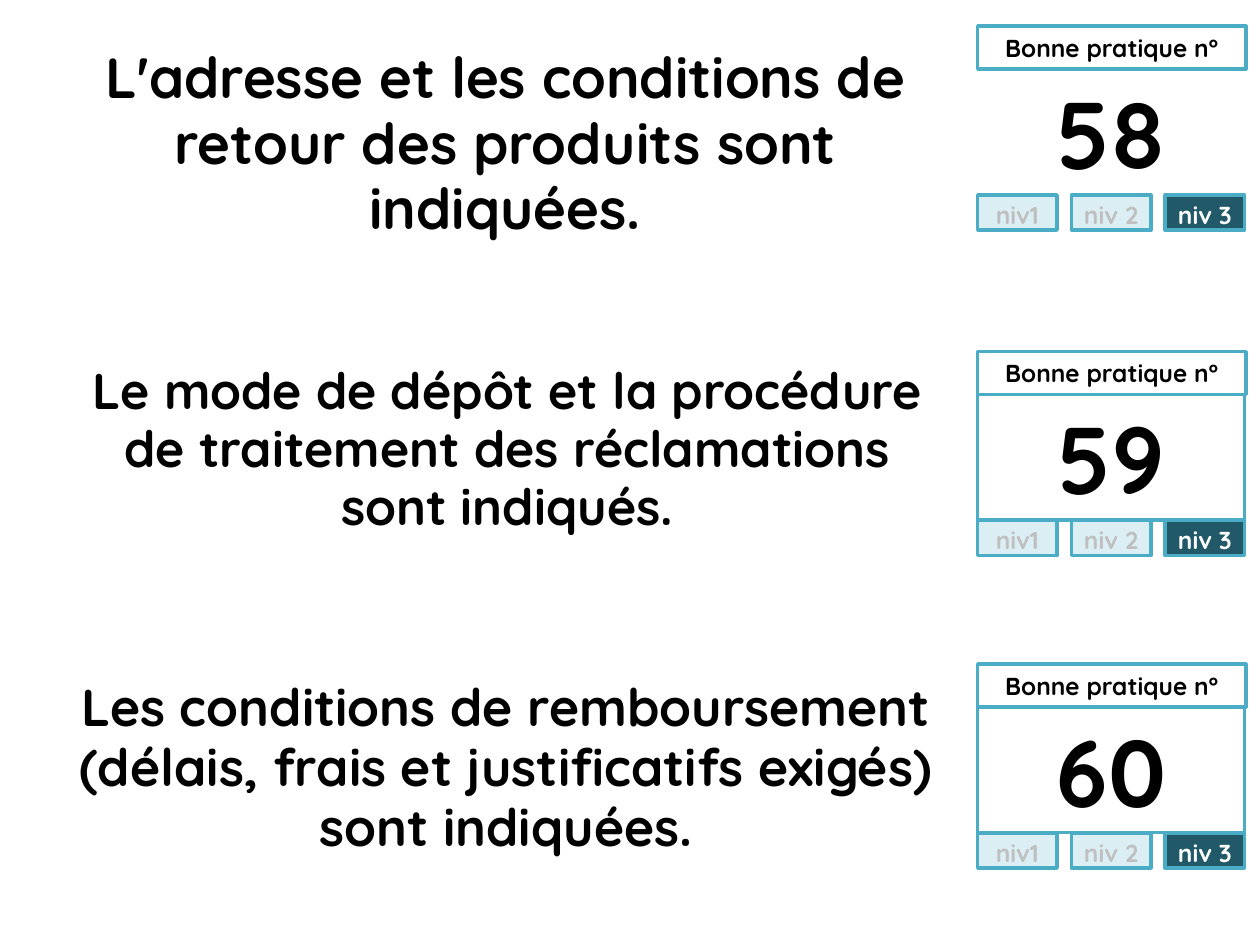
from pptx import Presentation
from pptx.dml.color import RGBColor
from pptx.enum.shapes import MSO_SHAPE
from pptx.enum.text import MSO_ANCHOR, MSO_AUTO_SIZE, PP_ALIGN
from pptx.oxml.xmlchemy import OxmlElement
from pptx.util import Cm, Pt

RECTANGLE = MSO_SHAPE.RECTANGLE
TOP, MIDDLE = MSO_ANCHOR.TOP, MSO_ANCHOR.MIDDLE
CENTER = PP_ALIGN.CENTER
NO_AUTOFIT = MSO_AUTO_SIZE.NONE

THEME = {
    "font": "Quicksand",
    "black": "000000",
    "white": "FFFFFF",
    "border": "4BACC6",
    "pale": "DBEEF4",
    "dark": "215968",
    "muted": "BFBFBF",
    "label_size": 14,
    "number_size": 54,
    "border_width": 2,
}

CARD_LABEL = "Bonne pratique n°"
LEVELS = ["niv1", "niv 2", "niv 3"]
ACTIVE_LEVEL = "niv 3"

# Lengths in centimetres, type sizes in points
PRACTICES = [
    {"number": "58", "card_top": 0.53, "size": 32.4, "box": (1.27, 0.76, 17.83, 3.18),
     "text": "L'adresse et les conditions de retour des produits sont indiquées."},
    {"number": "59", "card_top": 7.09, "size": 28.8, "box": (1.32, 7.14, 17.81, 4.6),
     "text": "Le mode de dépôt et la procédure de traitement des réclamations sont indiqués."},
    {"number": "60", "card_top": 13.39, "size": 29.7, "box": (1.3, 13.51, 17.81, 3.81),
     "text": "Les conditions de remboursement (délais, frais et justificatifs exigés) "
             "sont indiquées."},
]

CARD_LEFT = 19.71
HEADER_SIZE = (5.41, 0.86)
NUMBER_OFFSET, NUMBER_SIZE = 0.85, (5.38, 2.54)
LEVEL_OFFSET, LEVEL_SIZE, LEVEL_STEP = 3.4, (1.6, 0.71), 1.89


def place(shape, box):
    for name, value in zip(("left", "top", "width", "height"), box):
        setattr(shape, name, Cm(value))


def paint(shape, fill, bordered=True):
    shape.fill.solid()
    shape.fill.fore_color.rgb = RGBColor.from_string(fill)
    if bordered:
        shape.line.color.rgb = RGBColor.from_string(THEME["border"])
        shape.line.width = Pt(THEME["border_width"])


def write(shape, text, size, color="black", anchor=MIDDLE, line_spacing=None, **margins):
    frame = shape.text_frame
    settings = {"word_wrap": True, "auto_size": NO_AUTOFIT, "vertical_anchor": anchor}
    settings.update({f"margin_{side}": Cm(value) for side, value in margins.items()})
    for name, value in settings.items():
        setattr(frame, name, value)
    paragraph = frame.paragraphs[0]
    paragraph.text = text
    for name, value in {"alignment": CENTER, "space_before": Pt(0),
                        "line_spacing": line_spacing}.items():
        setattr(paragraph, name, value)
    font = paragraph.runs[0].font
    for name, value in {"name": THEME["font"], "size": Pt(size), "bold": True}.items():
        setattr(font, name, value)
    font.color.rgb = RGBColor.from_string(THEME[color])
    return paragraph


def add_box(slide, box, fill):
    shape = slide.shapes.add_shape(RECTANGLE, *map(Cm, box))
    shape.shadow.inherit = False
    paint(shape, fill)
    return shape


def remove_bullet(paragraph):
    properties = paragraph._p.get_or_add_pPr()
    properties.set("marL", "0")
    properties.set("indent", "0")
    properties.append(OxmlElement("a:buNone"))


def add_card(slide, practice, body):
    """Draw the number, header and levels; the number goes in body if given."""
    top = practice["card_top"]
    number_box = (CARD_LEFT, top + NUMBER_OFFSET, *NUMBER_SIZE)
    if body is None:
        number = add_box(slide, number_box, THEME["white"])
    else:
        number = body
        place(number, number_box)
        paint(number, THEME["white"], bordered=False)
    paragraph = write(number, practice["number"], THEME["number_size"])
    if body is not None:
        remove_bullet(paragraph)

    header = add_box(slide, (CARD_LEFT, top, *HEADER_SIZE), THEME["white"])
    write(header, CARD_LABEL, THEME["label_size"])

    for index, level in enumerate(LEVELS):
        active = level == ACTIVE_LEVEL
        left = CARD_LEFT + index * LEVEL_STEP
        chip = add_box(slide, (left, top + LEVEL_OFFSET, *LEVEL_SIZE),
                       THEME["dark" if active else "pale"])
        write(chip, level, THEME["label_size"], "white" if active else "muted", TOP,
              left=0.1, top=0.1, right=0.1, bottom=0.1)


def add_statement(slide, practice, title):
    """Write the practice text, in the title placeholder if given."""
    if title is None:
        shape = slide.shapes.add_textbox(*map(Cm, practice["box"]))
    else:
        shape = title
        place(shape, practice["box"])
    write(shape, practice["text"], practice["size"], anchor=TOP, line_spacing=0.96, top=0.18)


def main():
    presentation = Presentation()
    presentation.slide_width, presentation.slide_height = Cm(25.4), Cm(19.05)
    slide = presentation.slides.add_slide(presentation.slide_layouts[1])
    title, body = slide.shapes.title, slide.placeholders[1]
    for index, practice in enumerate(PRACTICES):
        first = index == 0
        add_statement(slide, practice, title if first else None)
        add_card(slide, practice, body if first else None)
    presentation.save("out.pptx")


if __name__ == "__main__":
    main()
